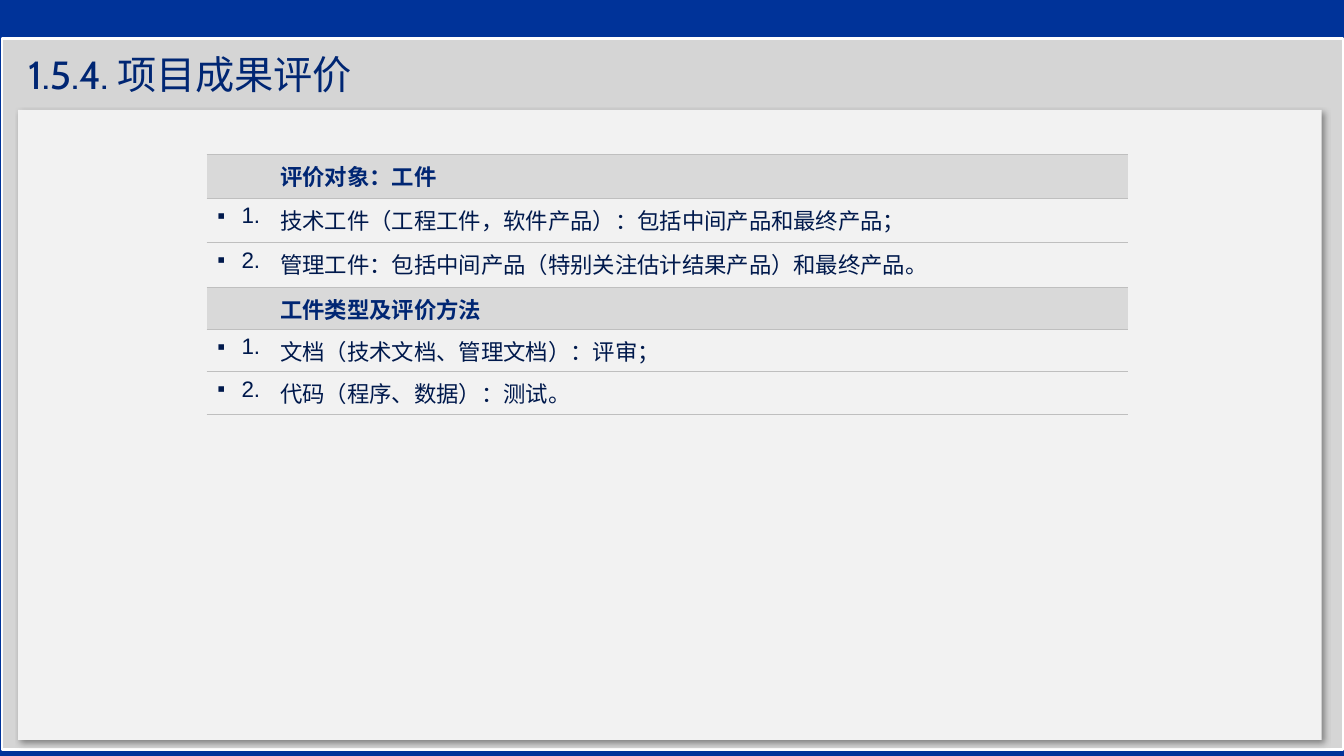
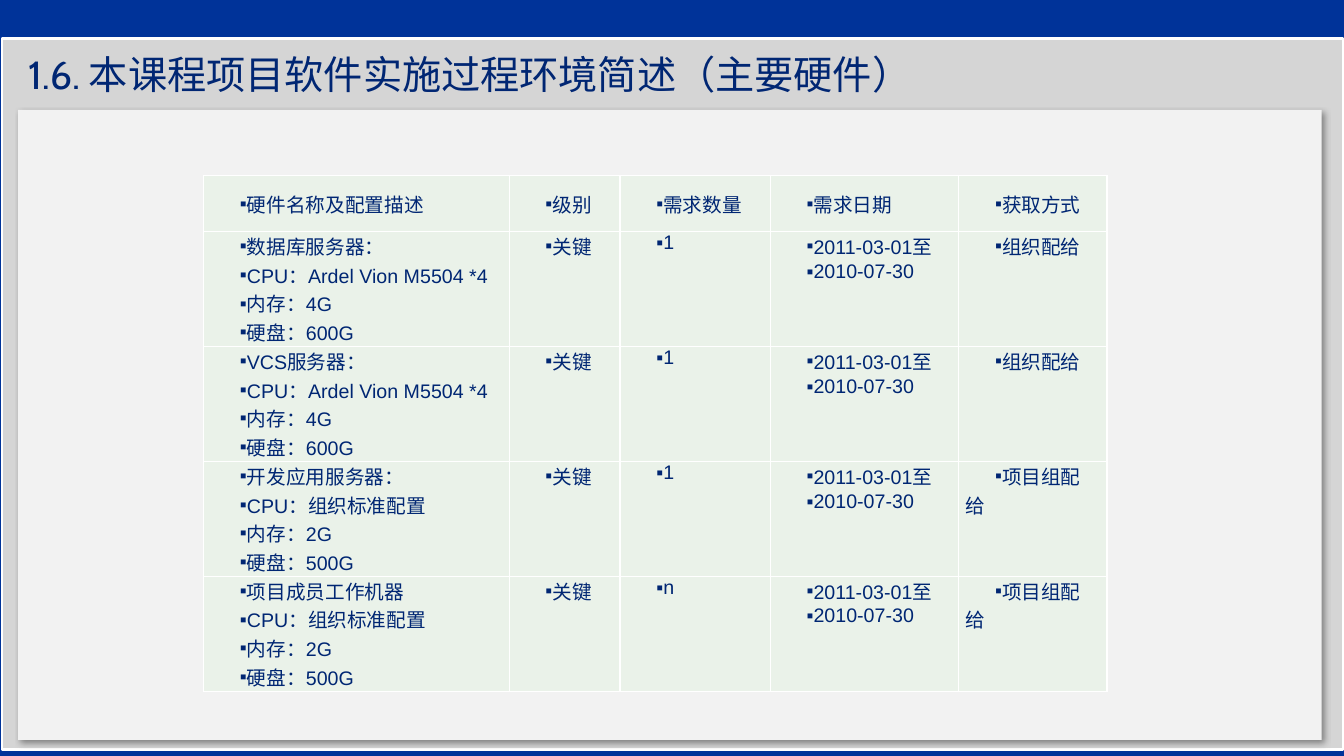
import pptx
import pptx.util
import pptx.dml.color
import pptx.enum.shapes
import pptx.enum.text
import pptx.oxml
import pptx.oxml.ns
import lxml.etree

Inches = pptx.util.Inches
Pt = pptx.util.Pt
MIDDLE = pptx.enum.text.MSO_ANCHOR.MIDDLE
TOP = pptx.enum.text.MSO_ANCHOR.TOP
RIGHT = pptx.enum.text.PP_ALIGN.RIGHT


def add(parent, tag, **attrs):
    node = lxml.etree.SubElement(parent, pptx.oxml.ns.qn(tag))
    for key, value in attrs.items():
        node.set(key, str(value))
    return node


class Deck:
    hues = {
        "back": "003399", "frame": "D5D5D5", "white": "FFFFFF",
        "panel": "F2F2F2", "shade": "000000", "navy": "002673",
        "ink": "00194C", "head": "D9D9D9", "rule": "BFBFBF",
        "mint": "EAF2E9",
    }

    def __init__(self):
        self.show = pptx.Presentation()
        self.show.slide_width = Inches(13.33)
        self.show.slide_height = Inches(7.5)
        self.slide = None

    def color(self, name):
        return pptx.dml.color.RGBColor.from_string(self.hues[name])

    def paint(self, fill, name):
        if name:
            fill.solid()
            fill.fore_color.rgb = self.color(name)
        else:
            fill.background()

    def page(self, title):
        self.slide = self.show.slides.add_slide(self.show.slide_layouts[6])
        self.paint(self.slide.background.fill, "back")
        self.panel(0.02, 0.38, 13.3, 7.06, "frame", edge="white")
        self.panel(0.18, 1.09, 12.93, 6.25, "panel", drop=True)
        self.title(title)

    def panel(self, left, top, width, height, fill, edge=None, drop=False):
        box = self.slide.shapes.add_shape(
            pptx.enum.shapes.MSO_SHAPE.RECTANGLE,
            Inches(left), Inches(top), Inches(width), Inches(height))
        box.shadow.inherit = False
        self.paint(box.fill, fill)
        self.paint(box.line.fill, edge)
        if edge:
            box.line.width = Pt(2)
        if drop:
            effect = box._element.spPr.find(pptx.oxml.ns.qn("a:effectLst"))
            shadow = add(effect, "a:outerShdw", blurRad=Pt(4), dist=Pt(3),
                         dir=45 * 60000, algn="tl", rotWithShape=0)
            tint = add(shadow, "a:srgbClr", val=self.hues["shade"])
            add(tint, "a:alpha", val=40000)

    def title(self, text):
        box = self.slide.shapes.add_textbox(
            Inches(0.18), Inches(0.47), Inches(12.92), Inches(0.53))
        frame = box.text_frame
        frame.word_wrap = True
        frame.vertical_anchor = MIDDLE
        self.run(frame.paragraphs[0], text, 28, "navy", font="Cabin")

    def run(self, para, text, size, color, bold=False, font="Arial"):
        run = para.add_run()
        run.text = text
        run.font.name = font
        run.font.size = Pt(size)
        run.font.bold = bold
        run.font.color.rgb = self.color(color)

    def bullet(self, para, left, indent):
        props = para._p.get_or_add_pPr()
        props.set("marL", str(Inches(left)))
        props.set("indent", str(Inches(indent)))
        add(props, "a:buFont", typeface="Arial")
        add(props, "a:buChar", char="▪")

    def table(self, left, top, cols, rows):
        frame = self.slide.shapes.add_table(
            len(rows), len(cols), Inches(left), Inches(top),
            Inches(sum(cols)), Inches(sum(rows)))
        table = frame.table
        table.first_row = False
        table.horz_banding = False
        for col, width in zip(table.columns, cols):
            col.width = Inches(width)
        for row, height in zip(table.rows, rows):
            row.height = Inches(height)
        return table

    def cell(self, cell, fill, edge, sides):
        props = cell._tc.get_or_add_tcPr()
        for side in "LRTB":
            line = add(props, "a:ln" + side, w=Pt(1))
            if side in sides:
                paint = add(line, "a:solidFill")
                add(paint, "a:srgbClr", val=self.hues[edge])
            else:
                add(line, "a:noFill")
        self.paint(cell.fill, fill)

    def review(self, groups):
        lines = []
        for head, items in groups:
            lines.append(("", head))
            lines.extend((f"{n}.", item) for n, item in enumerate(items, 1))
        table = self.table(2.05, 1.53, [0.63, 8.51],
                           [0.44] * 3 + [0.42] * 3)
        for row, (mark, text) in zip(table.rows, lines):
            num, body = row.cells
            for cell in row.cells:
                self.cell(cell, None if mark else "head", "rule", "TB")
            if mark:
                para = num.text_frame.paragraphs[0]
                self.bullet(para, 0.24, -0.24)
                para.alignment = RIGHT
                self.run(para, mark, 16, "ink")
            self.run(body.text_frame.paragraphs[0], text, 16,
                     "ink" if mark else "navy", bold=not mark)

    def gear(self, rows):
        table = self.table(2.02, 1.74, [3.03, 1.1, 1.49, 1.87, 1.47],
                           [0.56] + [1.14] * (len(rows) - 1))
        for r, row in enumerate(rows):
            for cell, lines in zip(table.rows[r].cells, row):
                self.cell(cell, "mint", "white", "LRTB")
                cell.margin_left = cell.margin_right = Inches(0.07)
                cell.margin_top = cell.margin_bottom = 0
                cell.vertical_anchor = TOP if r else MIDDLE
                frame = cell.text_frame
                for n, text in enumerate(lines):
                    para = frame.add_paragraph() if n else frame.paragraphs[0]
                    self.bullet(para, 0, 0.29)
                    self.run(para, text, 14, "navy")


def device(name, chip, ram, disk, count, source):
    return [[name, f"CPU：{chip}", f"内存：{ram}", f"硬盘：{disk}"],
            ["关键"], [count], ["2011-03-01至", "2010-07-30"], [source]]


def main():
    deck = Deck()

    deck.page("1.5.4. 项目成果评价")
    deck.review([
        ("评价对象：工件", [
            "技术工件（工程工件，软件产品）：包括中间产品和最终产品；",
            "管理工件：包括中间产品（特别关注估计结果产品）和最终产品。"]),
        ("工件类型及评价方法", [
            "文档（技术文档、管理文档）：评审；",
            "代码（程序、数据）：测试。"]),
    ])

    deck.page("1.6. 本课程项目软件实施过程环境简述（主要硬件）")
    heads = ["硬件名称及配置描述", "级别", "需求数量", "需求日期", "获取方式"]
    fast = "Ardel Vion M5504 *4"
    plain = "组织标准配置"
    deck.gear([
        [[head] for head in heads],
        device("数据库服务器：", fast, "4G", "600G", "1", "组织配给"),
        device("VCS服务器：", fast, "4G", "600G", "1", "组织配给"),
        device("开发应用服务器：", plain, "2G", "500G", "1", "项目组配给"),
        device("项目成员工作机器", plain, "2G", "500G", "n", "项目组配给"),
    ])

    deck.show.save("out.pptx")


if __name__ == "__main__":
    main()
